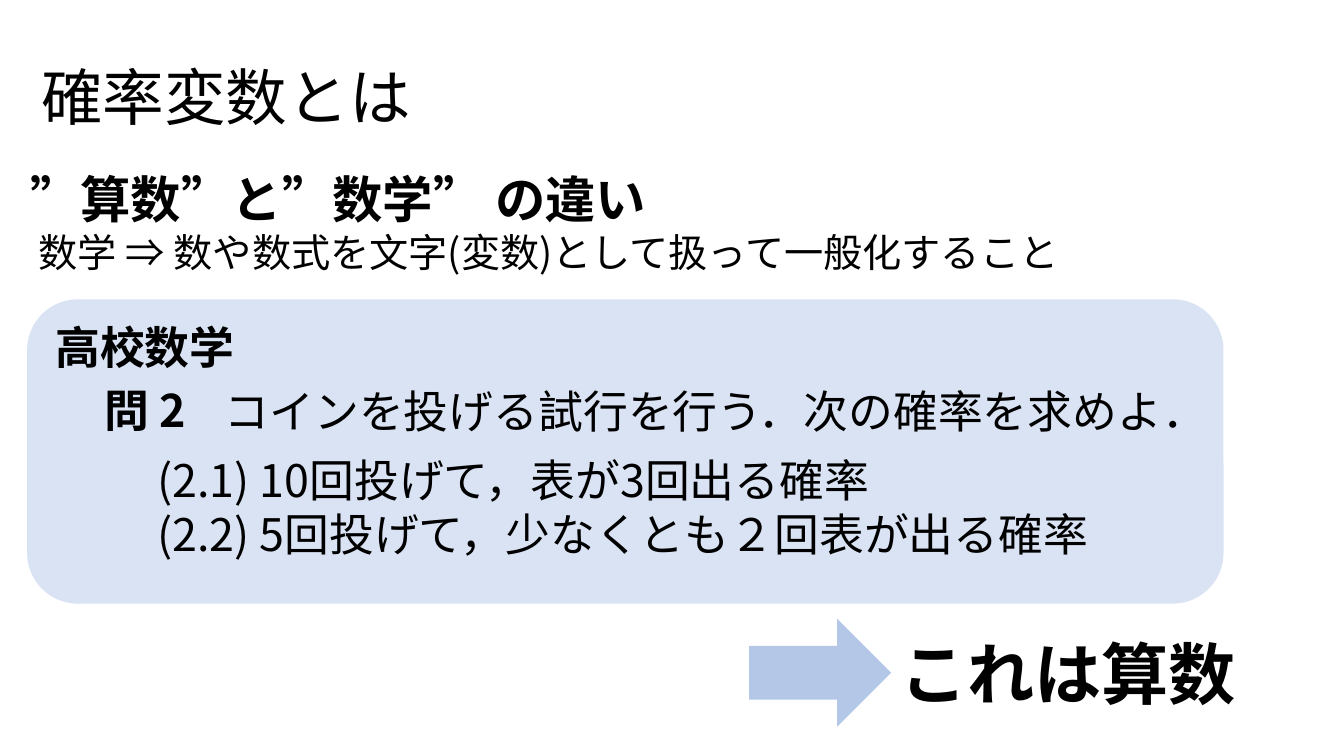
from dataclasses import dataclass

import pptx
import pptx.dml.color
import pptx.enum.shapes
import pptx.enum.text
import pptx.oxml
import pptx.oxml.ns
import pptx.slide
import pptx.util

FONT = "Noto Sans CJK JP"
SHAPE = pptx.enum.shapes.MSO_SHAPE
ANCHOR = pptx.enum.text.MSO_ANCHOR
AUTO_SIZE = pptx.enum.text.MSO_AUTO_SIZE


@dataclass(frozen=True)
class Box:
    left: float
    top: float
    width: float
    height: float

    def lengths(self) -> list[pptx.util.Length]:
        return [pptx.util.Pt(v) for v in (self.left, self.top, self.width, self.height)]


@dataclass(frozen=True)
class Line:
    text: str
    size: float
    bold: bool = False


@dataclass(frozen=True)
class Passage:
    box: Box
    lines: tuple[Line, ...]
    wrap: bool = True
    grow: bool = True
    anchor: ANCHOR = ANCHOR.TOP
    spacing: float = 1.0


@dataclass(frozen=True)
class Block:
    box: Box
    outline: SHAPE
    fill: str


PROBLEM_PANEL = Block(Box(19.4, 213.8, 854.6, 217.4), SHAPE.ROUNDED_RECTANGLE, "DAE3F3")
CONCLUSION_ARROW = Block(Box(535, 442.1, 101.5, 77), SHAPE.RIGHT_ARROW, "B4C7E7")

PASSAGES = (
    Passage(
        Box(14.4, 116.6, 777.6, 85),
        (
            Line("”算数”と”数学” の違い", 36, True),
            Line(" 数学 ⇒ 数や数式を文字(変数)として扱って一般化すること", 28),
        ),
    ),
    Passage(
        Box(153.4, 270.7, 704.9, 46.1),
        (Line("コインを投げる試行を行う．次の確率を求めよ．", 32),),
    ),
    Passage(
        Box(105.1, 319.7, 724.3, 85),
        (
            Line("(2.1) 10回投げて，表が3回出る確率", 32),
            Line("(2.2) 5回投げて，少なくとも２回表が出る確率", 32),
        ),
    ),
    Passage(Box(67.7, 270, 74.9, 46.1), (Line("問 2", 32, True),)),
    Passage(Box(32.4, 224.6, 144, 46.1), (Line("高校数学", 32, True),), wrap=False),
    Passage(Box(635.8, 447.8, 257, 65.5), (Line("これは算数", 48, True),), wrap=False),
    Passage(
        Box(22.3, 19.4, 828, 104.4),
        (Line("確率変数とは", 44),),
        grow=False,
        anchor=ANCHOR.MIDDLE,
        spacing=0.9,
    ),
)


def color(value: str) -> pptx.dml.color.RGBColor:
    return pptx.dml.color.RGBColor.from_string(value)


def draw_block(slide: pptx.slide.Slide, block: Block) -> None:
    shape = slide.shapes.add_shape(block.outline, *block.box.lengths())
    shape.shadow.inherit = False
    shape.fill.solid()
    shape.fill.fore_color.rgb = color(block.fill)
    shape.line.fill.background()


def draw_passage(slide: pptx.slide.Slide, passage: Passage) -> None:
    frame = slide.shapes.add_textbox(*passage.box.lengths()).text_frame
    frame.word_wrap = passage.wrap
    frame.auto_size = AUTO_SIZE.SHAPE_TO_FIT_TEXT if passage.grow else AUTO_SIZE.NONE
    frame.vertical_anchor = passage.anchor
    frame.text = "\n".join(line.text for line in passage.lines)
    for paragraph, line in zip(frame.paragraphs, passage.lines):
        paragraph.line_spacing = passage.spacing
        for run in paragraph.runs:
            run.font.size = pptx.util.Pt(line.size)
            run.font.bold = line.bold
            run.font.color.rgb = color("000000")
            run.font.name = FONT
            east_asian = pptx.oxml.parse_xml(
                f'<a:ea {pptx.oxml.ns.nsdecls("a")} typeface="{FONT}"/>'
            )
            run.font._element.append(east_asian)


def main() -> None:
    presentation = pptx.Presentation()
    presentation.slide_width = pptx.util.Pt(960)
    presentation.slide_height = pptx.util.Pt(540)
    slide = presentation.slides.add_slide(presentation.slide_layouts[6])
    draw_block(slide, PROBLEM_PANEL)
    for passage in PASSAGES:
        draw_passage(slide, passage)
    draw_block(slide, CONCLUSION_ARROW)
    presentation.save("out.pptx")


if __name__ == "__main__":
    main()
